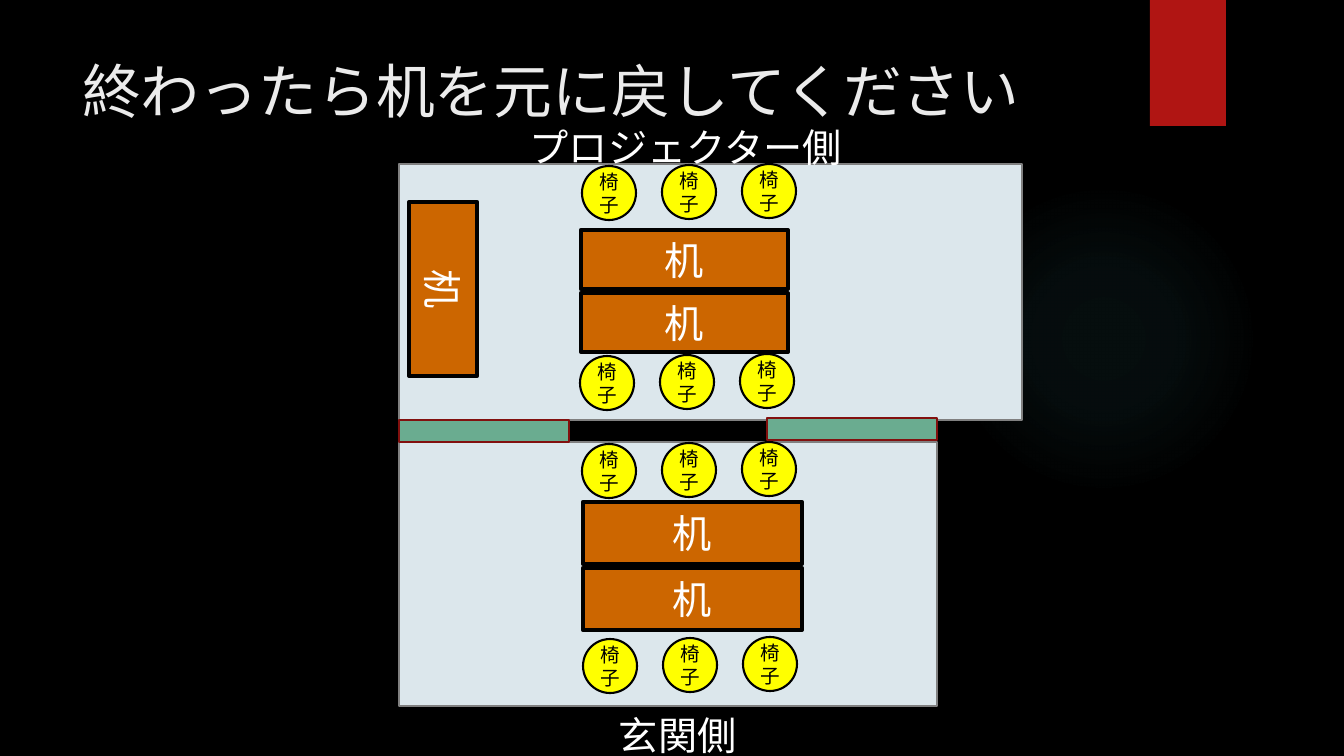
"""Build the slide that shows how to put the desks back."""
from dataclasses import dataclass

from pptx import Presentation
from pptx.dml.color import RGBColor
from pptx.enum.shapes import MSO_SHAPE as Shape
from pptx.enum.text import MSO_ANCHOR as Anchor, MSO_AUTO_SIZE as AutoSize, PP_ALIGN as Align
from pptx.oxml import parse_xml
from pptx.util import Pt

EMU_PER_PX = 914400 / 100.8
DRAWING_NS = "http://schemas.openxmlformats.org/drawingml/2006/main"


@dataclass(frozen=True)
class Theme:
    """Colours, type sizes and line widths."""
    font: str = "TeX Gyre Adventor"
    background: str = "000000"
    title: str = "EBEBEB"
    light: str = "FFFFFF"
    dark: str = "000000"
    tab: str = "B01513"
    glow: str = "50B9C1"
    room: str = "DCE7EC"
    room_edge: str = "808080"
    desk: str = "CC6600"
    chair: str = "FFFF00"
    door: str = "6AAC90"
    door_edge: str = "82100E"
    title_size: int = 42
    label_size: int = 28
    chair_size: int = 14
    thin: float = 1.5
    thick: float = 3


def px(*lengths):
    """Turn whole pixels into EMU."""
    return [round(length * EMU_PER_PX) for length in lengths]


class FloorPlan:
    """Draws the parts of a floor plan on one slide."""

    def __init__(self, deck, theme):
        """Add a title-only page with the theme's background."""
        self.theme = theme
        self.page = deck.slides.add_slide(deck.slide_layouts[5])
        fill = self.page.background.fill
        fill.solid()
        fill.fore_color.rgb = RGBColor.from_string(theme.background)

    def set_text(self, shape, text, size, color, align=Align.LEFT):
        """Set and format the text of a shape."""
        shape.text_frame.text = text
        para = shape.text_frame.paragraphs[0]
        para.alignment = align
        font = para.runs[0].font
        font.name, font.size = self.theme.font, Pt(size)
        font.color.rgb = RGBColor.from_string(color)

    def title(self, text, *box):
        """Move and format the title placeholder."""
        title = self.page.shapes.title
        title.left, title.top, title.width, title.height = px(*box)
        frame = title.text_frame
        frame.word_wrap, frame.auto_size = True, AutoSize.NONE
        frame.vertical_anchor = Anchor.TOP
        self.set_text(title, text, self.theme.title_size, self.theme.title)

    def block(self, kind, box, color, edge=None, weight=0):
        """Add a filled shape, outlined if an edge colour is given."""
        shape = self.page.shapes.add_shape(kind, *px(*box))
        shape.shadow.inherit = False
        shape.fill.solid()
        shape.fill.fore_color.rgb = RGBColor.from_string(color)
        if edge:
            shape.line.color.rgb = RGBColor.from_string(edge)
            shape.line.width = Pt(weight)
        else:
            shape.line.fill.background()
        return shape

    def glow(self, *box):
        """Add a soft round light that fades outwards."""
        shape = self.block(Shape.OVAL, box, self.theme.glow)
        stops = "".join(
            f'<a:gs pos="{place * 1000}"><a:srgbClr val="{self.theme.glow}">'
            f'<a:alpha val="{alpha * 1000}"/></a:srgbClr></a:gs>'
            for place, alpha in ((0, 7), (36, 6), (69, 0)))
        gradient = parse_xml(
            f'<a:gradFill xmlns:a="{DRAWING_NS}" rotWithShape="1"><a:gsLst>{stops}</a:gsLst>'
            '<a:path path="circle"><a:fillToRect l="50000" t="50000" r="50000" b="50000"/>'
            '</a:path></a:gradFill>')
        properties = shape.element.spPr
        properties.replace(properties.find(f"{{{DRAWING_NS}}}solidFill"), gradient)

    def tab(self, *box):
        """Add the coloured tab at the top edge."""
        self.block(Shape.RECTANGLE, box, self.theme.tab)

    def room(self, *box):
        """Add the floor of a room."""
        self.block(Shape.RECTANGLE, box, self.theme.room, self.theme.room_edge, self.theme.thin)

    def door(self, *box):
        """Add a sliding door."""
        self.block(Shape.RECTANGLE, box, self.theme.door, self.theme.door_edge, self.theme.thin)

    def label(self, text, *box):
        """Add a one-line label."""
        shape = self.page.shapes.add_textbox(*px(*box))
        shape.text_frame.word_wrap = False
        shape.text_frame.auto_size = AutoSize.SHAPE_TO_FIT_TEXT
        self.set_text(shape, text, self.theme.label_size, self.theme.light)

    def furniture(self, kind, box, color, weight, text, size, text_color):
        """Add an outlined piece of furniture with its name centred."""
        shape = self.block(kind, box, color, self.theme.dark, weight)
        shape.text_frame.word_wrap = True
        shape.text_frame.vertical_anchor = Anchor.MIDDLE
        self.set_text(shape, text, size, text_color, Align.CENTER)
        return shape

    def desk(self, *box, rotation=0):
        """Add a desk."""
        theme = self.theme
        shape = self.furniture(Shape.RECTANGLE, box, theme.desk, theme.thick,
                               "机", theme.label_size, theme.light)
        shape.rotation = rotation

    def chair_row(self, left, top, count=3, step=80, rise=1, size=54):
        """Add a row of chairs that rises slightly to the right."""
        theme = self.theme
        for i in range(count):
            box = (left + i * step, top - i * rise, size, size)
            self.furniture(Shape.OVAL, box, theme.chair, theme.thin,
                           "椅子", theme.chair_size, theme.dark)


def main():
    """Lay out both rooms and save the deck."""
    deck = Presentation()
    deck.slide_width, deck.slide_height = px(1344, 756)
    plan = FloorPlan(deck, Theme())
    plan.glow(949, 184, 310, 310)
    plan.tab(1150, 0, 76, 126)
    plan.title("終わったら机を元に戻してください", 72, 50, 1037, 154)
    plan.room(399, 164, 623, 256)
    plan.room(399, 442, 538, 264)
    plan.label("玄関側", 609, 706, 139, 57)
    plan.label("プロジェクター側", 520, 118, 337, 57)
    for top in (502, 568):
        plan.desk(583, top, 219, 62)
    for top in (230, 293):
        plan.desk(581, top, 207, 59)
    plan.door(399, 420, 170, 22)
    plan.door(767, 418, 170, 22)
    for left, top in ((582, 444), (583, 639), (582, 166), (580, 356)):
        plan.chair_row(left, top)
    plan.desk(356, 255, 174, 68, rotation=90)
    deck.save("out.pptx")


if __name__ == "__main__":
    main()
